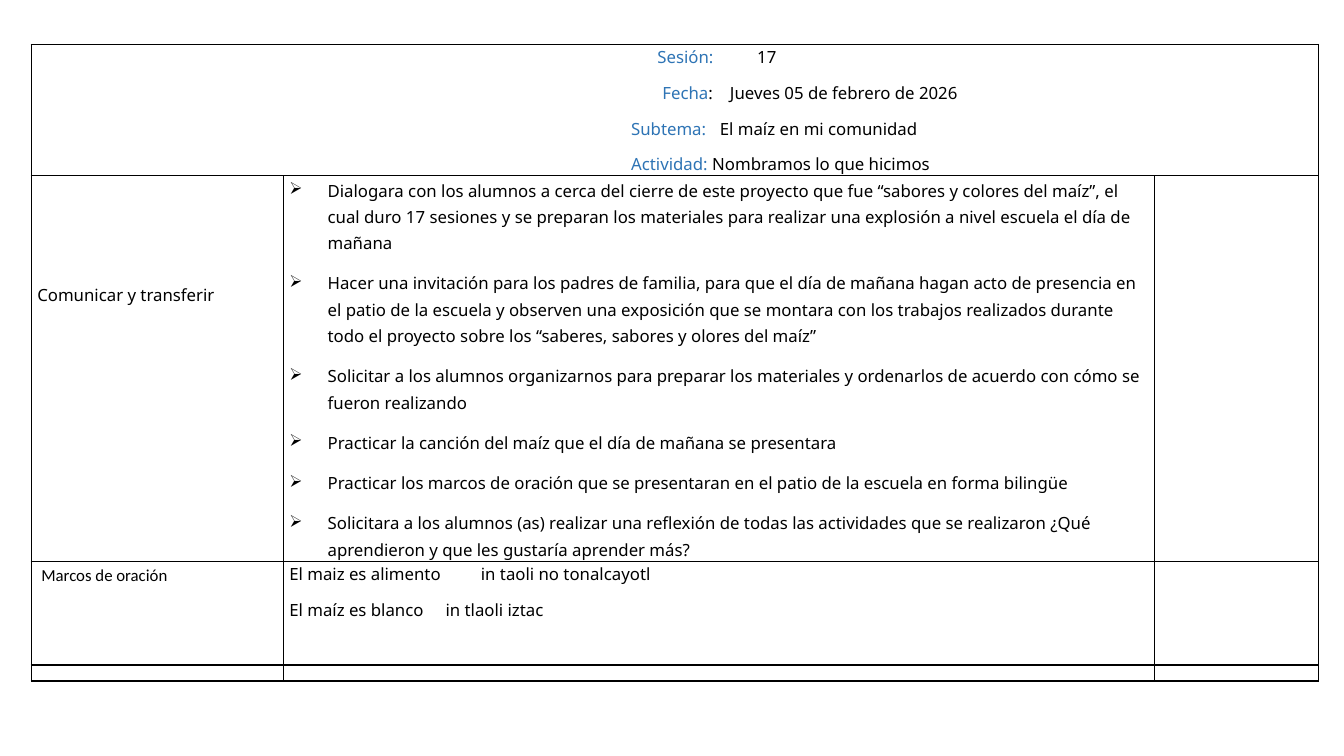
from lxml import etree
from pptx import Presentation
from pptx import util as u
from pptx.dml import color
from pptx.oxml import ns

WIDTH, HEIGHT = 13.33, 7.5
COLUMNS = [2.5, 8.64, 1.63]
ROWS = [1.26, 3.59, 1.03, 0.16]
MARGIN = 0.06
INDENT = 0.38
BLACK, BLUE = "000000", "2E74B5"
HEADER = [
    ("Sesión:", "\t17", [6.15, 7.14]),
    ("Fecha", ":\tJueves 05 de febrero de 2026", [6.2, 6.87]),
    ("Subtema:", "\tEl maíz en mi comunidad", [5.89, 6.77]),
    ("Actividad:", " Nombramos lo que hicimos", [5.89]),
]
ACTIVITIES = [
    "Dialogara con los alumnos a cerca del cierre de este proyecto que fue “sabores y colores del maíz”, "
    "el cual duro 17 sesiones y se preparan los materiales para realizar una explosión a nivel escuela "
    "el día de mañana",
    "Hacer una invitación para los padres de familia, para que el día de mañana hagan acto de presencia "
    "en el patio de la escuela y observen una exposición que se montara con los trabajos realizados "
    "durante todo el proyecto sobre los “saberes, sabores y olores del maíz”",
    "Solicitar a los alumnos organizarnos para preparar los materiales y ordenarlos de acuerdo con "
    "cómo se fueron realizando",
    "Practicar la canción del maíz que el día de mañana se presentara",
    "Practicar los marcos de oración que se presentaran en el patio de la escuela en forma bilingüe",
    "Solicitara a los alumnos (as) realizar una reflexión de todas las actividades que se realizaron "
    "¿Qué aprendieron y que les gustaría aprender más?",
]
SENTENCES = [
    ("El maiz es alimento\tin taoli no tonalcayotl", 1.9),
    ("El maíz es blanco\tin tlaoli iztac", 1.55),
]


def rgb(value):
    return color.RGBColor.from_string(value)


def apply(target, formats):
    for name, value in formats.items():
        setattr(target, name, value)


def add_element(parent, tag, **attributes):
    element = etree.SubElement(parent, ns.qn(tag))
    for name, value in attributes.items():
        element.set(name, str(value))
    return element


def write_paragraph(cell, first, runs, line=1.07, after=8, font="Noto Sans", tabs=(), bullet=None):
    frame = cell.text_frame
    paragraph = frame.paragraphs[0] if first else frame.add_paragraph()
    apply(paragraph, {"line_spacing": line, "space_after": u.Pt(after)})
    properties = paragraph._p.get_or_add_pPr()
    if bullet:
        properties.set("marL", str(u.Inches(INDENT)))
        properties.set("indent", str(-u.Inches(INDENT)))
        add_element(properties, "a:buChar", char=bullet)
    if tabs:
        tab_list = add_element(properties, "a:tabLst")
        for position in tabs:
            add_element(tab_list, "a:tab", pos=u.Inches(position), algn="l")
    for words, shade in runs:
        run = paragraph.add_run()
        run.text = words
        apply(run.font, {"size": u.Pt(12), "name": font, "bold": False})
        run.font.color.rgb = rgb(shade)


def format_cell(cell):
    apply(cell, {"margin_left": u.Inches(MARGIN), "margin_right": u.Inches(MARGIN),
                 "margin_top": 0, "margin_bottom": 0})
    properties = cell._tc.get_or_add_tcPr()
    for side in "LRTB":
        border = add_element(properties, f"a:ln{side}", w=u.Pt(1))
        add_element(add_element(border, "a:solidFill"), "a:srgbClr", val=BLACK)
    cell.fill.background()


def shrink_empty(cell):
    add_element(cell.text_frame.paragraphs[0]._p, "a:endParaRPr", sz=800)


def fill_header(cell):
    for index, (label, value, tabs) in enumerate(HEADER):
        write_paragraph(cell, index == 0, [("\t" + label, BLUE), (value, BLACK)], tabs=tabs)


def fill_activities(label, body):
    label.margin_top = u.Inches(1.05)
    write_paragraph(label, True, [("Comunicar y transferir", BLACK)])
    for index, activity in enumerate(ACTIVITIES):
        write_paragraph(body, index == 0, [(activity, BLACK)], line=1.15, after=10, bullet="➢")


def fill_sentences(label, body):
    apply(label, {"margin_left": u.Inches(0.1), "margin_top": u.Inches(0.03)})
    write_paragraph(label, True, [("Marcos de oración", BLACK)], font="Calibri")
    for index, (sentence, tab) in enumerate(SENTENCES):
        write_paragraph(body, index == 0, [(sentence, BLACK)], tabs=[tab])


def add_plan(slide, left, top):
    size = [u.Inches(value) for value in (left, top, sum(COLUMNS), sum(ROWS))]
    table = slide.shapes.add_table(len(ROWS), len(COLUMNS), *size).table
    apply(table, {"first_row": False, "horz_banding": False})
    for column, width in zip(table.columns, COLUMNS):
        column.width = u.Inches(width)
    for row, height in zip(table.rows, ROWS):
        row.height = u.Inches(height)
    for cell in table.iter_cells():
        format_cell(cell)
    table.cell(0, 0).merge(table.cell(0, 2))
    fill_header(table.cell(0, 0))
    fill_activities(table.cell(1, 0), table.cell(1, 1))
    fill_sentences(table.cell(2, 0), table.cell(2, 1))
    for cell in table.iter_cells():
        if not cell.text_frame.text:
            shrink_empty(cell)


def main():
    presentation = Presentation()
    apply(presentation, {"slide_width": u.Inches(WIDTH), "slide_height": u.Inches(HEIGHT)})
    slide = presentation.slides.add_slide(presentation.slide_layouts[6])
    add_plan(slide, 0.31, 0.44)
    presentation.save("out.pptx")


if __name__ == "__main__":
    main()
